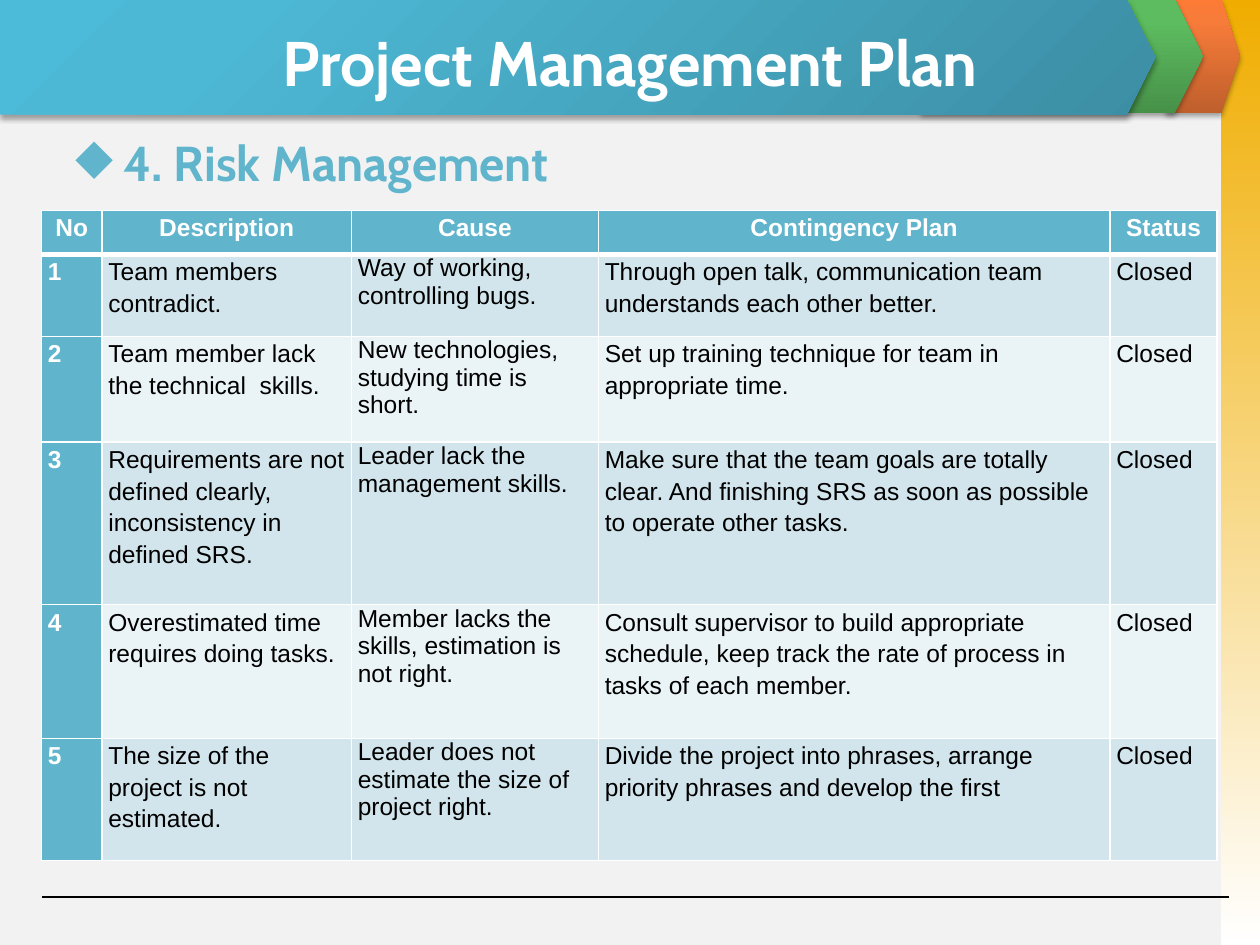
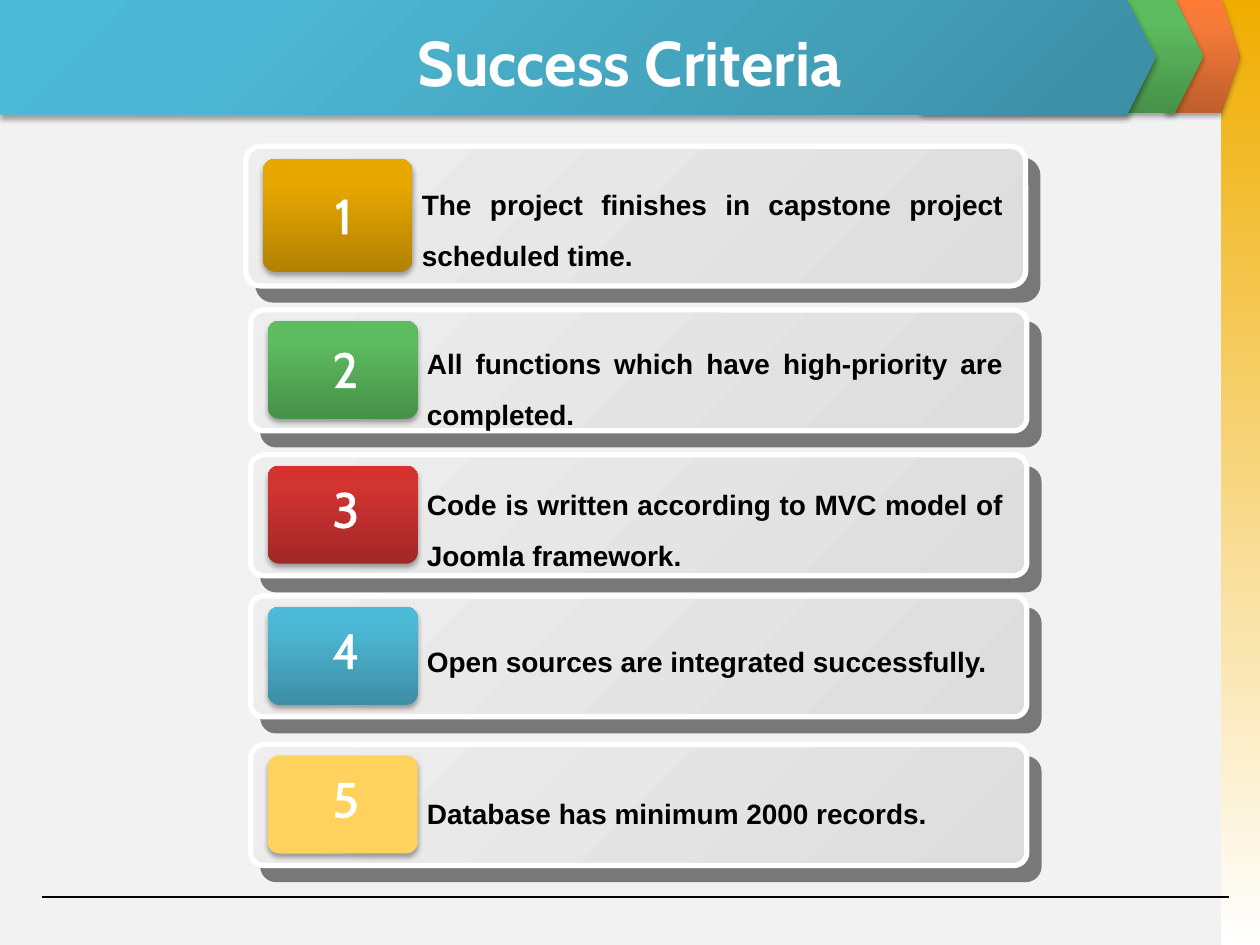
from dataclasses import dataclass

from lxml import etree
from pptx import Presentation
from pptx import util as u
from pptx.dml.color import RGBColor
from pptx.enum import shapes, text
from pptx.oxml.ns import qn

WIDTH, HEIGHT = u.Inches(10), u.Inches(7.5)
COLUMN, ROW = WIDTH / 100, HEIGHT / 75

WHITE = RGBColor(0xFF, 0xFF, 0xFF)
BLACK = RGBColor(0x00, 0x00, 0x00)
PAPER = RGBColor(0xF2, 0xF2, 0xF2)
AMBER = RGBColor(0xF0, 0xAD, 0x00)
TEAL = RGBColor(0x60, 0xB5, 0xCC)
YELLOW = RGBColor(0xFF, 0xD2, 0x5D)
BANDS = RGBColor(0xD2, 0xE5, 0xEC), RGBColor(0xEA, 0xF3, 0xF6)
CARD = RGBColor(0xEE, 0xEE, 0xEE), RGBColor(0xDD, 0xDD, 0xDD)
ORANGE = RGBColor(0xBE, 0x5F, 0x2C), RGBColor(0xF7, 0x7B, 0x39), RGBColor(0xFC, 0x7B, 0x35)
GREEN = RGBColor(0x47, 0x91, 0x49), RGBColor(0x5D, 0xBC, 0x5F), RGBColor(0x5B, 0xBF, 0x5E)
BLUE = RGBColor(0x3C, 0x8E, 0xA4), RGBColor(0x4D, 0xB8, 0xD5), RGBColor(0x4B, 0xBB, 0xD9)
RED = RGBColor(0xA2, 0x28, 0x27), RGBColor(0xD2, 0x34, 0x32), RGBColor(0xD6, 0x31, 0x2F)
GOLD = RGBColor(0xB3, 0x81, 0x00), RGBColor(0xE9, 0xA8, 0x00), RGBColor(0xEA, 0xA8, 0x00)

HEADING_FONT, BODY_FONT = "Cabin", "Arial"
SOFT_SHADOW = dict(alpha=35, blur=3.1, distance=1.8, angle=90)
HARD_SHADOW = dict(alpha=50, blur=0, distance=10.6, angle=49)
LEFT, CENTER, JUSTIFY = text.PP_ALIGN.LEFT, text.PP_ALIGN.CENTER, text.PP_ALIGN.JUSTIFY

RISK_COLUMNS = 4.8, 19.8, 19.6, 40.6, 8.5
RISK_ROWS = 3.5, 6.5, 8.4, 12.9, 10.6, 9.7
RISKS = [
    ("No", "Description", "Cause", "Contingency Plan", "Status"),
    ("1", "Team members contradict.", "Way of working, controlling bugs.",
     "Through open talk, communication team understands each other better.", "Closed"),
    ("2", "Team member lack the technical  skills.",
     "New technologies, studying time is short.",
     "Set up training technique for team in appropriate time.", "Closed"),
    ("3", "Requirements are not defined clearly, inconsistency in defined SRS.",
     "Leader lack the management skills.",
     "Make sure that the team goals are totally clear. And finishing SRS as soon as "
     "possible to operate other tasks.", "Closed"),
    ("4", "Overestimated time requires doing tasks.",
     "Member lacks the skills, estimation is not right.",
     "Consult supervisor to build appropriate schedule, keep track the rate of process "
     "in tasks of each member.", "Closed"),
    ("5", "The size of the project is not estimated.",
     "Leader does not estimate the size of project right.",
     "Divide the project into phrases, arrange priority phrases and develop the first",
     "Closed"),
]


@dataclass
class Box:
    """A rectangle in grid columns and rows."""
    left: float
    top: float
    width: float
    height: float

    def inner(self, right, down, width, height):
        """Return a box offset from this one's corner."""
        return Box(self.left + right, self.top + down, width, height)

    def place(self):
        """Return left, top, width and height in EMU."""
        return (round(self.left * COLUMN), round(self.top * ROW),
                round(self.width * COLUMN), round(self.height * ROW))


CRITERIA = [
    (Box(19.5, 11.6, 61.9, 11.1), GOLD, 2.6, 1.5,
     "The project finishes in capstone project scheduled time."),
    (Box(19.9, 24.6, 61.6, 9.6), GREEN, 1.8, 1.1,
     "All functions which have high-priority are completed."),
    (Box(19.9, 36.1, 61.6, 9.6), RED, 1.4, 0.8,
     "Code is written according to MVC model of Joomla framework."),
    (Box(19.9, 47.3, 61.6, 9.6), BLUE, 1.4, 2,
     "Open sources are integrated successfully."),
    (Box(19.9, 59.1, 61.6, 9.6), YELLOW, 1.4, 2.3,
     "Database has minimum 2000 records."),
]


def add_node(parent, tag, **attributes):
    """Append a drawing element with the given attributes."""
    values = {key: str(value) for key, value in attributes.items()}
    return etree.SubElement(parent, qn(f"a:{tag}"), values)


def add_color(parent, color):
    """Append an RGB colour element."""
    return add_node(parent, "srgbClr", val=color)


def paint(shape, colors, angle=None):
    """Fill with one colour, a linear gradient, or a corner glow without an angle."""
    if isinstance(colors, RGBColor):
        shape.fill.solid()
        shape.fill.fore_color.rgb = colors
        return
    shape.fill.gradient()
    gradient = shape.element.spPr.find(qn("a:gradFill"))
    gradient.clear()
    stops = add_node(gradient, "gsLst")
    positions = (0, 80, 100) if len(colors) == 3 else (0, 100)
    for position, color in zip(positions, colors):
        add_color(add_node(stops, "gs", pos=position * 1000), color)
    if angle is None:
        glow = add_node(gradient, "path", path="circle")
        add_node(glow, "fillToRect", l=100000, t=100000)
    else:
        add_node(gradient, "lin", ang=angle * 60000, scaled=0)


def cast_shadow(shape, alpha, blur, distance, angle):
    """Give the shape a black outer shadow."""
    effects = shape.element.spPr.find(qn("a:effectLst"))
    shadow = add_node(effects, "outerShdw", blurRad=u.Pt(blur), dist=u.Pt(distance),
                      dir=angle * 60000, algn="ctr", rotWithShape=0)
    add_node(add_color(shadow, BLACK), "alpha", val=alpha * 1000)


def draw(canvas, kind, box, colors, angle=None, adjust=None, border=None, shadow=None):
    """Add a preset shape with its fill, border and shadow."""
    shape = canvas.shapes.add_shape(kind, *box.place())
    if adjust is not None:
        shape.adjustments[0] = adjust
    paint(shape, colors, angle)
    if border:
        shape.line.color.rgb = WHITE
        shape.line.width = u.Pt(border)
    else:
        shape.line.fill.background()
    shape.shadow.inherit = False
    if shadow:
        cast_shadow(shape, **shadow)
    return shape


def write(frame, content, size=14, font=BODY_FONT, color=BLACK, bold=False, align=LEFT,
          spacing=None):
    """Set a frame's single paragraph and return it with its span."""
    para = frame.paragraphs[0]
    para.alignment = align
    if spacing:
        para.line_spacing = spacing
    span = para.add_run()
    span.text = content
    span.font.size = u.Pt(size)
    span.font.name = font
    span.font.bold = bold
    span.font.color.rgb = color
    return para, span


def add_label(page, box, content, wrap=True, **style):
    """Add a text box and return its paragraph and span."""
    frame = page.shapes.add_textbox(*box.place()).text_frame
    frame.word_wrap = wrap
    return write(frame, content, **style)


def add_page(deck, heading):
    """Add a titled slide with the shared side band, banner and footer rule."""
    page = deck.slides.add_slide(deck.slide_layouts[5])
    draw(page, shapes.MSO_SHAPE.RECTANGLE, Box(96.9, 0, 3.1, 75), (AMBER, WHITE), 90)
    arrows = [(Box(92.5, -0.1, 5.9, 9.1), ORANGE, 270),
              (Box(73.1, -0.1, 22.4, 9.1), GREEN, 270),
              (Box(0, 0, 91.7, 9.1), BLUE, None)]
    for box, colors, angle in arrows:
        draw(page, shapes.MSO_SHAPE.PENTAGON, box, colors, angle, adjust=0.25,
             shadow=SOFT_SHADOW)
    left, top, width, _ = Box(3.3, 71.2, 94.2, 0).place()
    rule = page.shapes.add_connector(shapes.MSO_CONNECTOR.STRAIGHT, left, top,
                                     left + width, top)
    rule.line.color.rgb = BLACK
    rule.line.width = u.Pt(0.75)
    add_node(rule.element.spPr, "effectLst")
    title = page.shapes.title
    title.left, title.top, title.width, title.height = Box(5, 1.4, 90, 6.9).place()
    title.text_frame.vertical_anchor = text.MSO_ANCHOR.MIDDLE
    write(title.text_frame, heading, size=36, font=HEADING_FONT, color=WHITE, bold=True,
          align=CENTER)
    page.shapes.element.append(title.element)
    return page


def add_subheading(page, box, content):
    """Add a heading line with a diamond bullet."""
    para, _ = add_label(page, box, content, size=28, font=HEADING_FONT, color=TEAL, bold=True)
    properties = para._p.get_or_add_pPr()
    properties.set("marL", str(u.Inches(0.38)))
    properties.set("indent", str(-u.Inches(0.38)))
    add_color(add_node(properties, "buClr"), TEAL)
    add_node(properties, "buChar", char="◆")


def set_borders(cell, top, bottom):
    """Draw white borders, with given top and bottom widths in points."""
    properties = cell._tc.get_or_add_tcPr()
    for index, (side, width) in enumerate(zip("LRTB", (1, 1, top, bottom))):
        line = add_node(properties, f"ln{side}", w=u.Pt(width))
        add_color(add_node(line, "solidFill"), WHITE)
        properties.insert(index, line)


def add_risk_table(page, box):
    """Add the table of risks."""
    table = page.shapes.add_table(len(RISK_ROWS), len(RISK_COLUMNS), *box.place()).table
    table.horz_banding = False
    for column, width in zip(table.columns, RISK_COLUMNS):
        column.width = round(width * COLUMN)
    for row, height in zip(table.rows, RISK_ROWS):
        row.height = round(height * ROW)
    for r, risk in enumerate(RISKS):
        for c, content in enumerate(risk):
            cell = table.cell(r, c)
            header = r == 0 or c == 0
            cell.margin_left = cell.margin_right = u.Inches(0.05)
            cell.margin_top = cell.margin_bottom = 0
            cell.fill.solid()
            cell.fill.fore_color.rgb = TEAL if header else BANDS[(r - 1) % 2]
            set_borders(cell, top=3 if r == 1 else 1, bottom=3 if r == 0 else 1)
            write(cell.text_frame, content, color=WHITE if header else BLACK, bold=header,
                  align=CENTER if r == 0 else JUSTIFY if c == 0 else LEFT,
                  spacing=None if c == 2 and r else 1.15)


def add_criterion(page, box, number, colors, number_drop, text_drop, content):
    """Add a card with a numbered badge and its criterion."""
    group = page.shapes.add_group_shape()
    rounded = shapes.MSO_SHAPE.ROUNDED_RECTANGLE
    draw(group, rounded, box, CARD, 45, adjust=0.109, border=3, shadow=HARD_SHADOW)
    badge = box.inner(1.35, box.height * 0.09, 11.9, box.height * 0.81)
    draw(group, rounded, badge, colors, 270, adjust=0.119, shadow=SOFT_SHADOW)
    _, span = add_label(page, Box(25.4, box.top + number_drop, 3.7, 5.7), str(number),
                        wrap=False, size=28, font=HEADING_FONT, color=WHITE, align=CENTER)
    outline = add_node(span._r.get_or_add_rPr(), "ln", w=u.Pt(1.45))
    add_color(add_node(outline, "solidFill"), WHITE)
    span._r.rPr.insert(0, outline)
    add_label(page, box.inner(13, text_drop, 80.6 - box.left - 13, box.height - text_drop),
              content, size=16, bold=True, align=JUSTIFY, spacing=1.5)


def add_risk_page(deck):
    """Build the risk management slide."""
    page = add_page(deck, "Project Management Plan")
    add_subheading(page, Box(5, 10, 90, 5.8), "4. Risk Management")
    add_risk_table(page, Box(3.3, 16.7, sum(RISK_COLUMNS), sum(RISK_ROWS)))


def add_criteria_page(deck):
    """Build the success criteria slide."""
    page = add_page(deck, "Success Criteria")
    for number, (box, *details) in enumerate(CRITERIA, 1):
        add_criterion(page, box, number, *details)


def main():
    """Build and save the deck."""
    deck = Presentation()
    deck.slide_width, deck.slide_height = WIDTH, HEIGHT
    background = deck.slide_master.background.fill
    background.solid()
    background.fore_color.rgb = PAPER
    add_risk_page(deck)
    add_criteria_page(deck)
    deck.save("out.pptx")


if __name__ == "__main__":
    main()
